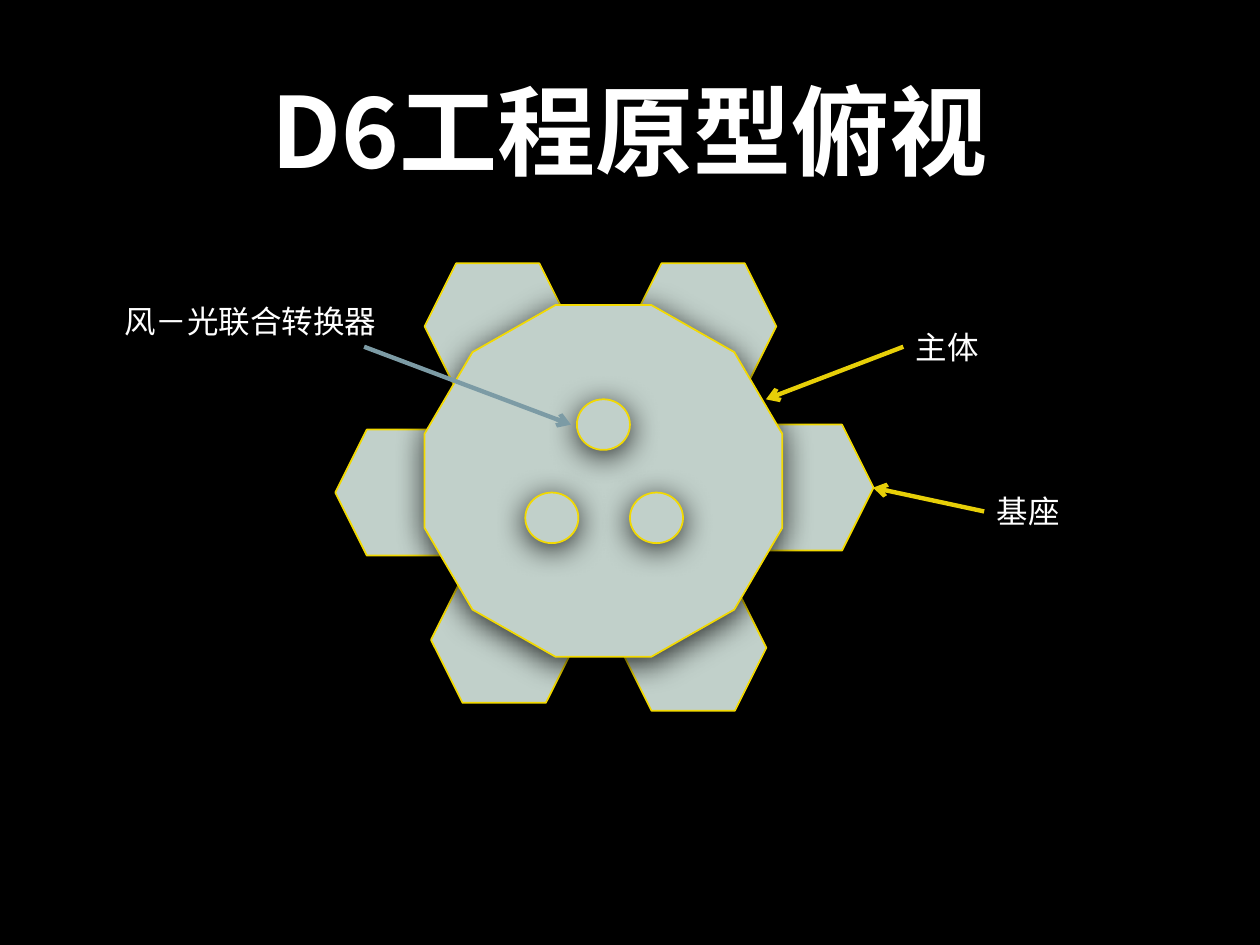
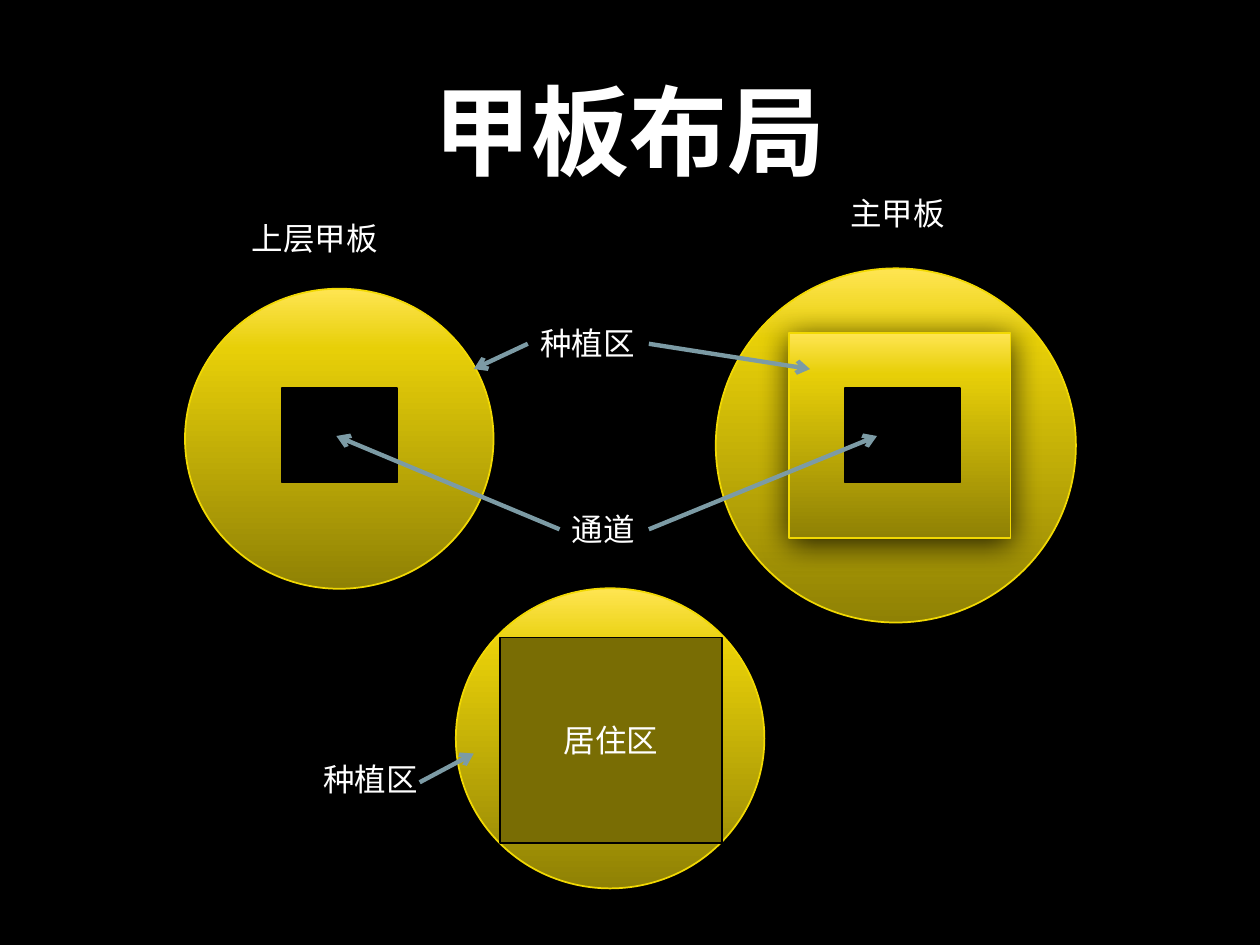
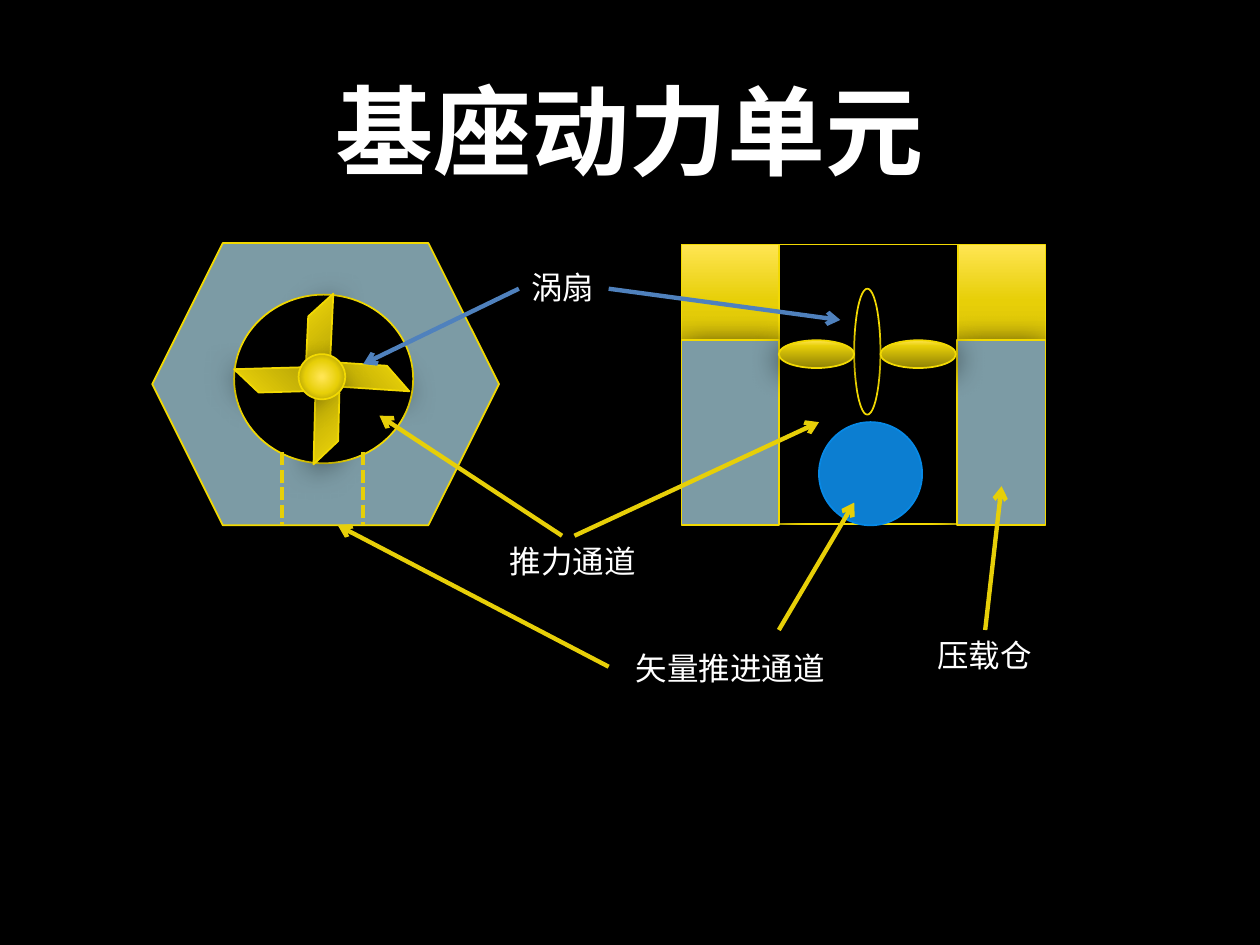
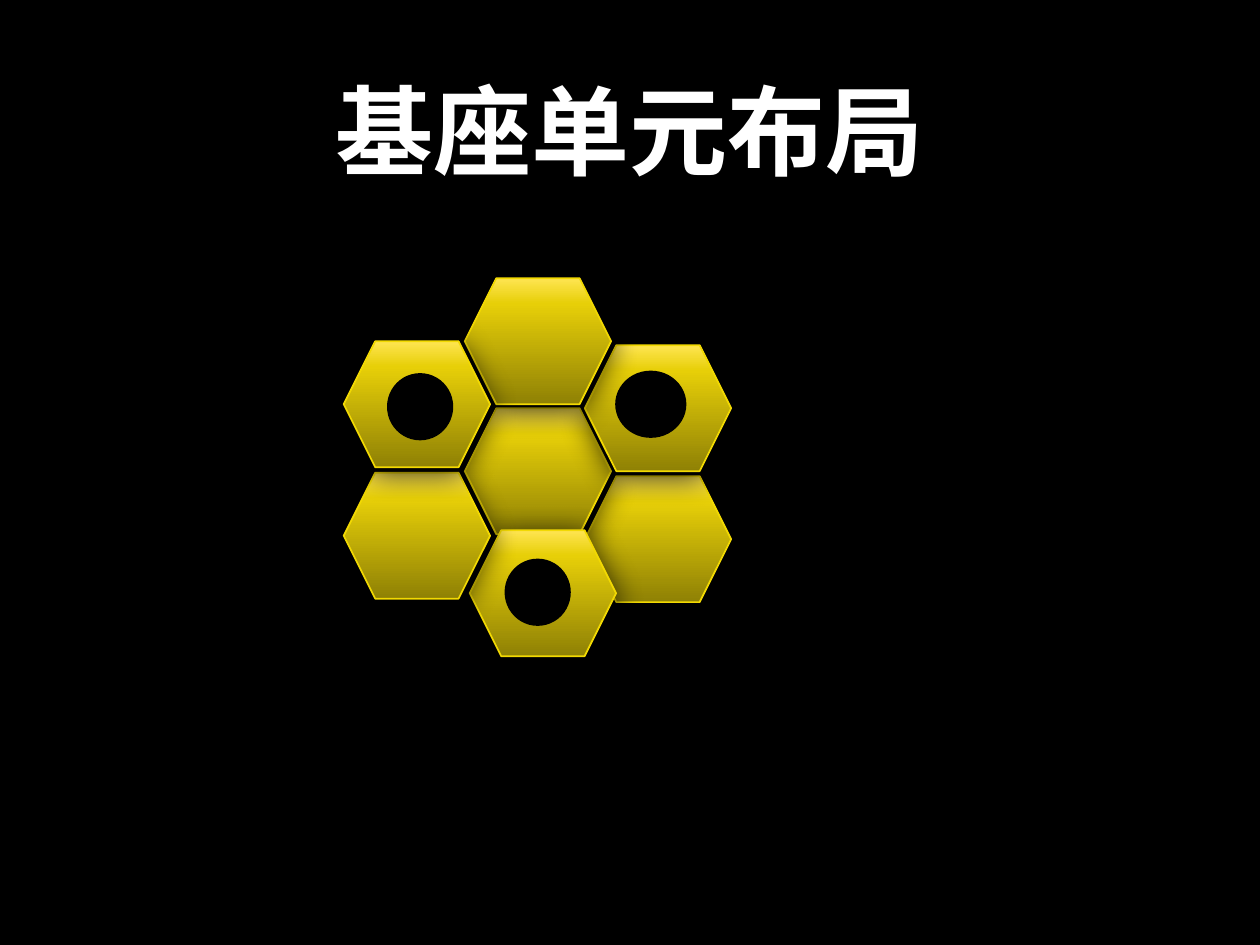
from pptx import Presentation
from pptx.dml.color import RGBColor
from pptx.enum.dml import MSO_LINE
from pptx.enum.shapes import MSO_CONNECTOR, MSO_SHAPE as SHAPE
from pptx.enum.text import MSO_ANCHOR, MSO_AUTO_SIZE, PP_ALIGN
from pptx.oxml import parse_xml
from pptx.oxml.ns import nsdecls, qn
from pptx.util import Cm, Pt

# Colours and fonts
BLACK = RGBColor(0x00, 0x00, 0x00)
WHITE = RGBColor(0xFF, 0xFF, 0xFF)
GOLD = RGBColor(0xE7, 0xCF, 0x08)
LIGHT_GOLD = RGBColor(0xFF, 0xE5, 0x52)
DARK_GOLD = RGBColor(0x8F, 0x81, 0x05)
OLIVE = RGBColor(0x79, 0x6D, 0x04)
OUTLINE = RGBColor(0xF2, 0xD9, 0x02)
PALE_GREY = RGBColor(0xC1, 0xD0, 0xCA)
STEEL = RGBColor(0x7C, 0x9B, 0xA5)
BLUE = RGBColor(0x4F, 0x81, 0xBD)
WATER = RGBColor(0x0C, 0x7E, 0xD1)
WATER_EDGE = RGBColor(0x07, 0x89, 0xE6)
LATIN_FONT = "Calibri"
CJK_FONT = "Noto Sans CJK SC"

# Gradients: (stops in percent, direction)
METAL = ([(0, DARK_GOLD), (80, GOLD), (100, LIGHT_GOLD)],
         '<a:lin ang="16200000" scaled="0"/>')
GLOW = ([(5, LIGHT_GOLD), (52, GOLD), (98, DARK_GOLD)],
        '<a:path path="circle"><a:fillToRect l="50000" t="50000" r="50000" b="50000"/></a:path>')

SHADOW = (f'<a:outerShdw {nsdecls("a")} blurRad="228600" dist="38100" dir="5400000" rotWithShape="0">'
          '<a:srgbClr val="000000"><a:alpha val="80000"/></a:srgbClr></a:outerShdw>')


def add_figure(page, kind, left, top, width, height, fill, line=OUTLINE, shadow=True):
    figure = page.shapes.add_shape(kind, Cm(left), Cm(top), Cm(width), Cm(height))
    properties = figure.element.spPr
    if isinstance(fill, RGBColor):
        figure.fill.solid()
        figure.fill.fore_color.rgb = fill
    else:
        stops, direction = fill
        marks = "".join(f'<a:gs pos="{percent * 1000}"><a:srgbClr val="{colour}"/></a:gs>'
                        for percent, colour in stops)
        figure.fill.background()
        properties.replace(properties.find(qn("a:noFill")), parse_xml(
            f'<a:gradFill {nsdecls("a")} rotWithShape="1"><a:gsLst>{marks}</a:gsLst>'
            f'{direction}</a:gradFill>'))
    figure.line.color.rgb = line
    figure.line.width = Pt(1)
    figure.shadow.inherit = False
    if shadow:
        properties.find(qn("a:effectLst")).append(parse_xml(SHADOW))
    return figure


def add_line(page, start, end, colour, arrow=True):
    line = page.shapes.add_connector(MSO_CONNECTOR.STRAIGHT, *map(Cm, start + end))
    line.line.color.rgb = colour
    line.line.width = Pt(2.5)
    properties = line.element.spPr
    if arrow:
        properties.find(qn("a:ln")).append(parse_xml(f'<a:tailEnd {nsdecls("a")} type="arrow"/>'))
    else:
        line.line.dash_style = MSO_LINE.SQUARE_DOT
    properties.append(parse_xml(f'<a:effectLst {nsdecls("a")}/>'))


deck = Presentation()
deck.slide_width, deck.slide_height = Cm(25.4), Cm(19.05)
background = deck.slide_master.background.fill
background.solid()
background.fore_color.rgb = BLACK

# Pages with their titles
pages = []
for text, font_name in [("D6工程原型俯视", CJK_FONT), ("甲板布局", LATIN_FONT),
                        ("基座动力单元", CJK_FONT), ("基座单元布局", LATIN_FONT)]:
    page = deck.slides.add_slide(deck.slide_layouts[5])
    title = page.shapes.title
    title.left, title.top, title.width, title.height = Cm(2.16), Cm(0.3), Cm(21.06), Cm(4.6)
    title.text_frame.text = text
    title.text_frame.auto_size = MSO_AUTO_SIZE.NONE
    title.text_frame.vertical_anchor = MSO_ANCHOR.MIDDLE
    para = title.text_frame.paragraphs[0]
    para.alignment = PP_ALIGN.CENTER
    para.font.name = font_name
    para.font.size = Pt(56)
    para.font.bold = True
    para.font.color.rgb = WHITE
    pages.append(page)
top_view, decks, power_unit, base_layout = pages

# Top view: bases, main body, converters
for left, top in [(6.76, 8.66), (12.7, 5.31), (8.56, 5.31),
                  (8.69, 11.63), (12.5, 11.79), (14.66, 8.56)]:
    add_figure(top_view, SHAPE.HEXAGON, left, top, 2.95, 2.54, PALE_GREY)
add_figure(top_view, SHAPE.DODECAGON, 8.56, 6.15, 7.21, 7.09, PALE_GREY)
for left, top in [(11.63, 8.05), (10.59, 9.93), (12.7, 9.93)]:
    add_figure(top_view, SHAPE.OVAL, left, top, 1.07, 1.02, PALE_GREY)
add_line(top_view, (19.84, 10.31), (17.6, 9.83), GOLD)
add_line(top_view, (18.21, 6.99), (15.44, 8.05), GOLD)
add_line(top_view, (7.34, 6.99), (11.51, 8.56), STEEL)

# Decks: upper, main and living deck
add_figure(decks, SHAPE.OVAL, 3.73, 5.82, 6.22, 6.05, METAL)
add_figure(decks, SHAPE.OVAL, 14.43, 5.41, 7.26, 7.14, METAL)
add_figure(decks, SHAPE.RECTANGLE, 15.9, 6.71, 4.47, 4.14, METAL)
for left in (5.69, 17.04):
    add_figure(decks, SHAPE.RECTANGLE, left, 7.82, 2.31, 1.91, BLACK, BLACK, shadow=False)
add_figure(decks, SHAPE.OVAL, 9.19, 11.86, 6.22, 6.05, METAL)
living = add_figure(decks, SHAPE.RECTANGLE, 10.08, 12.85, 4.47, 4.14, OLIVE, BLACK, shadow=False)
living.text_frame.text = "居住区"
living.text_frame.vertical_anchor = MSO_ANCHOR.MIDDLE
para = living.text_frame.paragraphs[0]
para.alignment = PP_ALIGN.CENTER
para.font.name = LATIN_FONT
para.font.size = Pt(18)
para.font.color.rgb = WHITE
for start, end in [((13.08, 6.93), (16.33, 7.44)), ((10.64, 6.93), (9.55, 7.44)),
                   ((13.08, 10.67), (17.68, 8.79)), ((11.28, 10.67), (6.78, 8.79)),
                   ((8.46, 15.77), (9.55, 15.19))]:
    add_line(decks, start, end, STEEL)

# Power unit: view from above
add_figure(power_unit, SHAPE.HEXAGON, 3.07, 4.9, 6.99, 5.69, STEEL)
add_figure(power_unit, SHAPE.OVAL, 4.72, 5.94, 3.61, 3.4, BLACK, shadow=False)
for left, top, angle in [(5.99, 6.2, 317.7), (6.6, 7.14, 48.8),
                         (5.66, 7.71, 136.5), (5, 6.73, 223.4)]:
    blade = add_figure(power_unit, SHAPE.DIAGONAL_STRIPE, left, top, 1.37, 1.37, METAL)
    blade.rotation = angle

# Power unit: cross-section
add_figure(power_unit, SHAPE.RECTANGLE, 13.74, 4.93, 7.34, 5.64, METAL)
add_figure(power_unit, SHAPE.RECTANGLE, 15.7, 4.93, 3.61, 5.64, BLACK, shadow=False)
for left, width in [(13.74, 1.96), (19.3, 1.78)]:
    add_figure(power_unit, SHAPE.RECTANGLE, left, 6.86, width, 3.73, STEEL)
add_figure(power_unit, SHAPE.OVAL, 17.22, 5.82, 0.53, 2.54, BLACK)
for left in (17.75, 15.7):
    add_figure(power_unit, SHAPE.OVAL, left, 6.86, 1.52, 0.56, METAL)
add_figure(power_unit, SHAPE.OVAL, 16.51, 8.51, 2.08, 2.08, WATER, WATER_EDGE, shadow=False)

# Power unit: pointers, thrust channel walls, fan hub
for start, end, colour in [((19.86, 12.7), (20.19, 9.8), GOLD),
                           ((11.33, 10.8), (7.65, 8.38), GOLD),
                           ((11.58, 10.8), (16.51, 8.51), GOLD),
                           ((12.27, 5.82), (16.94, 6.45), BLUE),
                           ((10.46, 5.82), (7.32, 7.34), BLUE),
                           ((15.7, 12.7), (17.22, 10.13), GOLD),
                           ((12.27, 13.44), (6.81, 10.59), GOLD)]:
    add_line(power_unit, start, end, colour)
for left in (5.69, 7.32):
    add_line(power_unit, (left, 9.12), (left, 10.59), GOLD, arrow=False)
add_figure(power_unit, SHAPE.OVAL, 6.02, 7.14, 0.94, 0.91, GLOW, shadow=False)

# Base layout: honeycomb with three openings
for left, top in [(11.79, 9.6), (9.37, 8.23), (9.47, 10.69), (6.93, 9.53),
                  (11.79, 6.96), (9.37, 5.61), (6.93, 6.88)]:
    add_figure(base_layout, SHAPE.HEXAGON, left, top, 2.95, 2.54, METAL)
for left, top, width in [(7.82, 7.54, 1.3), (10.19, 11.28, 1.3), (12.42, 7.49, 1.4)]:
    add_figure(base_layout, SHAPE.OVAL, left, top, width, 1.32, BLACK, BLACK, shadow=False)

# Labels
for page, text, left, top, width in [
    (top_view, "基座", 19.84, 9.8, 1.8),
    (top_view, "主体", 18.21, 6.48, 1.85),
    (top_view, "风－光联合转换器", 2.26, 5.97, 5.64),
    (decks, "种植区", 10.64, 6.4, 2.44),
    (decks, "通道", 11.28, 10.16, 1.8),
    (decks, "上层甲板", 4.83, 4.29, 3.07),
    (decks, "主甲板", 16.89, 3.78, 2.44),
    (decks, "种植区", 6.27, 15.19, 3.02),
    (power_unit, "压载仓", 18.64, 12.7, 2.44),
    (power_unit, "推力通道", 10.03, 10.8, 3.07),
    (power_unit, "涡扇", 10.46, 5.28, 1.8),
    (power_unit, "矢量推进通道", 12.57, 12.95, 4.37),
]:
    box = page.shapes.add_textbox(Cm(left), Cm(top), Cm(width), Cm(1.02))
    box.text_frame.text = text
    box.text_frame.word_wrap = width == 3.02  # only the wide lower label wraps
    box.text_frame.auto_size = MSO_AUTO_SIZE.SHAPE_TO_FIT_TEXT
    para = box.text_frame.paragraphs[0]
    para.font.name = LATIN_FONT
    para.font.size = Pt(18)
    para.font.color.rgb = WHITE

deck.save("out.pptx")
